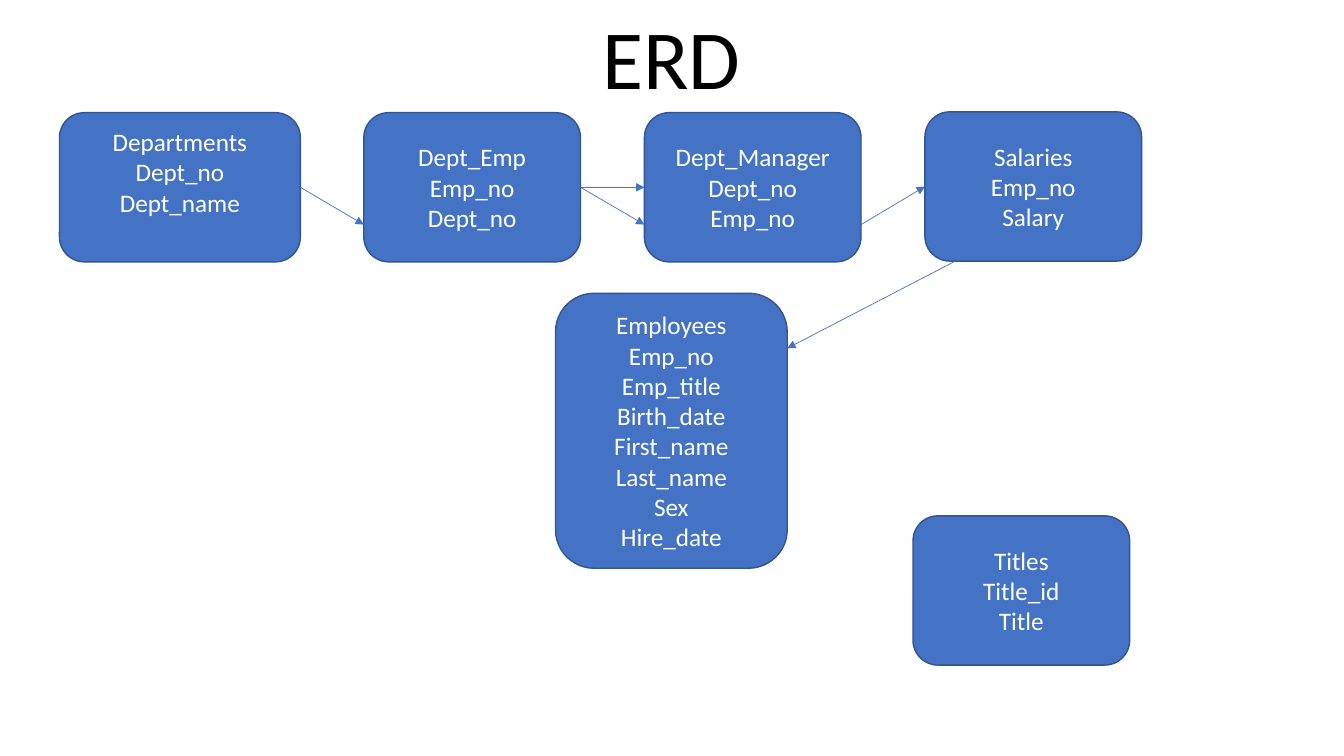
"""Build a one-slide entity relationship diagram."""
from dataclasses import dataclass

from lxml import etree
from pptx import Presentation
from pptx.dml.color import RGBColor
from pptx.enum.shapes import MSO_CONNECTOR, MSO_SHAPE
from pptx.enum.text import MSO_ANCHOR, PP_ALIGN
from pptx.oxml.ns import qn
from pptx.util import Cm, Pt

ROUNDED = MSO_SHAPE.ROUNDED_RECTANGLE
STRAIGHT = MSO_CONNECTOR.STRAIGHT
MIDDLE, BOTTOM = MSO_ANCHOR.MIDDLE, MSO_ANCHOR.BOTTOM
CENTER = PP_ALIGN.CENTER

BLUE, DARK_BLUE, WHITE, BLACK = "4472C4", "325491", "FFFFFF", "000000"
FONT = "Calibri"
BLANK_LAYOUT = 6

BOX_WIDTH, BOX_HEIGHT = 5.46, 3.76
ROW_LEFT, ROW_TOP, ROW_STEP = 9.17, 2.84, 7.07


@dataclass
class Entity:
    """A database table with its fields; lengths in centimetres."""
    name: str
    fields: list[str]
    left: float
    top: float
    width: float = BOX_WIDTH
    height: float = BOX_HEIGHT
    bottom_margin: float = 0.13

    def point(self, across: float, down: float) -> tuple[Cm, Cm]:
        """Return the point at the given fractions of the box."""
        return (Cm(self.left + across * self.width),
                Cm(self.top + down * self.height))


@dataclass
class Link:
    """An arrow between two entities, with its ends as box fractions."""
    source: str
    start: tuple[float, float]
    target: str
    end: tuple[float, float]


ENTITIES = [
    Entity("Departments", ["Dept_no", "Dept_name"], 1.5, ROW_TOP,
           width=6.07, bottom_margin=0.9),
    Entity("Dept_Emp", ["Emp_no", "Dept_no"], ROW_LEFT, ROW_TOP),
    Entity("Dept_Manager", ["Dept_no", "Emp_no"], ROW_LEFT + ROW_STEP, ROW_TOP),
    Entity("Employees",
           ["Emp_no", "Emp_title", "Birth_date", "First_name", "Last_name",
            "Sex", "Hire_date"], 14, 7.39, width=5.84, height=6.93),
    Entity("Salaries", ["Emp_no", "Salary"], ROW_LEFT + 2 * ROW_STEP, 2.82),
    Entity("Titles", ["Title_id", "Title"], 23.01, 13),
]

LINKS = [
    Link("Departments", (1, 0.5), "Dept_Emp", (0, 0.75)),
    Link("Dept_Emp", (1, 0.5), "Dept_Manager", (0, 0.75)),
    Link("Dept_Emp", (1, 0.5), "Dept_Manager", (0, 0.5)),
    Link("Dept_Manager", (1, 0.75), "Salaries", (0, 0.5)),
    Link("Salaries", (0.14, 1), "Employees", (1, 0.2)),
]


def color(value: str) -> RGBColor:
    """Turn a hex string into a colour."""
    return RGBColor.from_string(value)


def apply_format(target: object, values: dict) -> None:
    """Set every attribute listed in the format values."""
    for name, value in values.items():
        setattr(target, name, value)


def write_lines(frame, lines: list[str], size: float, hex_color: str,
                frame_format: dict, spacing: float = 1.0) -> None:
    """Write one centred paragraph per line."""
    apply_format(frame, {"word_wrap": True, **frame_format})
    for index, line in enumerate(lines):
        para = frame.add_paragraph() if index else frame.paragraphs[0]
        apply_format(para, {"alignment": CENTER, "line_spacing": spacing})
        span = para.add_run()
        span.text = line
        apply_format(span.font, {"name": FONT, "size": Pt(size)})
        span.font.color.rgb = color(hex_color)


def add_title(page, text: str) -> None:
    """Add the large centred heading."""
    box = page.shapes.add_textbox(Cm(4.78), Cm(0.28), Cm(24.28), Cm(2.56))
    write_lines(box.text_frame, [text], 60, BLACK,
                {"vertical_anchor": BOTTOM}, spacing=0.9)


def add_entity(page, entity: Entity) -> None:
    """Draw an entity as a rounded box listing its fields."""
    box = page.shapes.add_shape(ROUNDED, Cm(entity.left), Cm(entity.top),
                                Cm(entity.width), Cm(entity.height))
    box.shadow.inherit = False
    box.fill.solid()
    box.fill.fore_color.rgb = color(BLUE)
    box.line.color.rgb = color(DARK_BLUE)
    box.line.width = Pt(1)
    write_lines(box.text_frame, [entity.name, *entity.fields], 18, WHITE,
                {"vertical_anchor": MIDDLE,
                 "margin_bottom": Cm(entity.bottom_margin)})


def add_link(page, link: Link, entities: dict[str, Entity]) -> None:
    """Draw an arrow from the source entity to the target entity."""
    start = entities[link.source].point(*link.start)
    end = entities[link.target].point(*link.end)
    arrow = page.shapes.add_connector(STRAIGHT, *start, *end)
    arrow.line.color.rgb = color(BLUE)
    arrow.line.width = Pt(0.5)
    properties = arrow.element.spPr
    head = etree.SubElement(properties.find(qn("a:ln")), qn("a:tailEnd"))
    head.set("type", "triangle")
    etree.SubElement(properties, qn("a:effectLst"))


def main() -> None:
    """Build and save the deck."""
    deck = Presentation()
    apply_format(deck, {"slide_width": Cm(33.87), "slide_height": Cm(19.05)})
    page = deck.slides.add_slide(deck.slide_layouts[BLANK_LAYOUT])
    add_title(page, "ERD")
    for entity in ENTITIES:
        add_entity(page, entity)
    entities = {entity.name: entity for entity in ENTITIES}
    for link in LINKS:
        add_link(page, link, entities)
    deck.save("out.pptx")


main()
